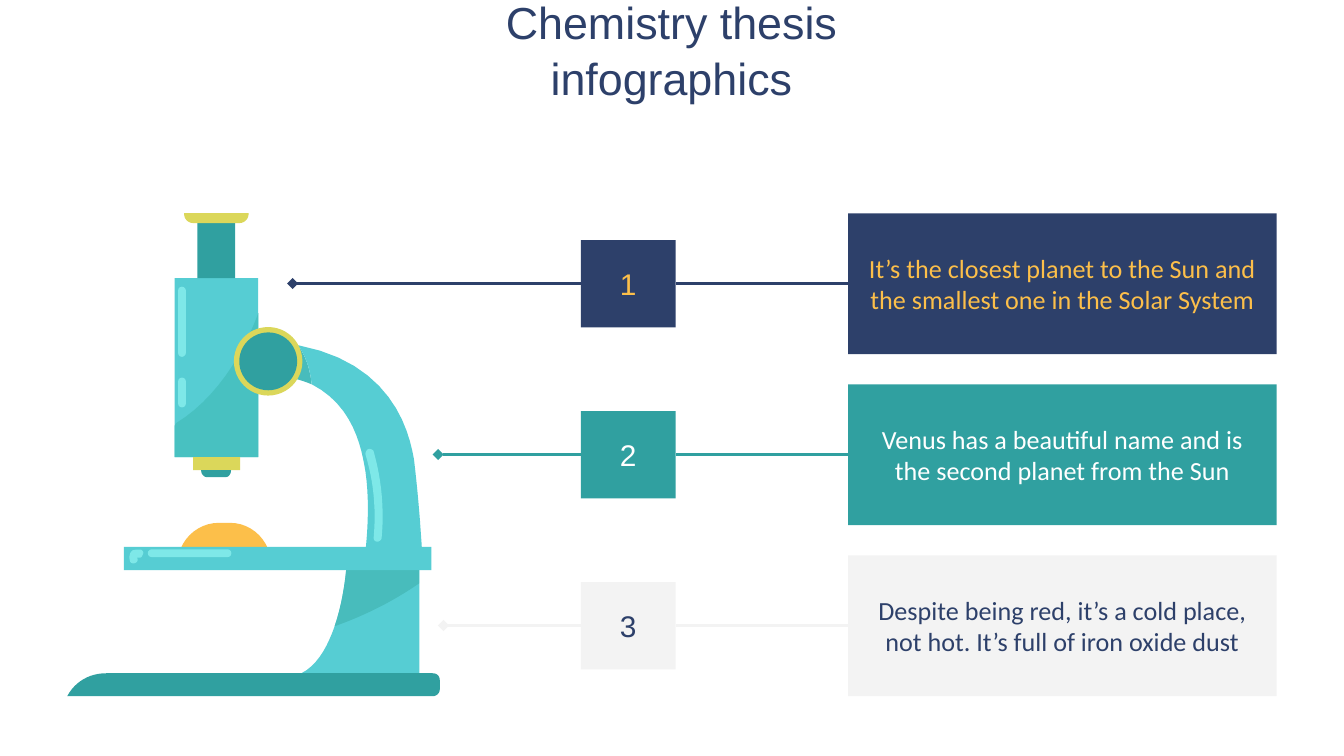
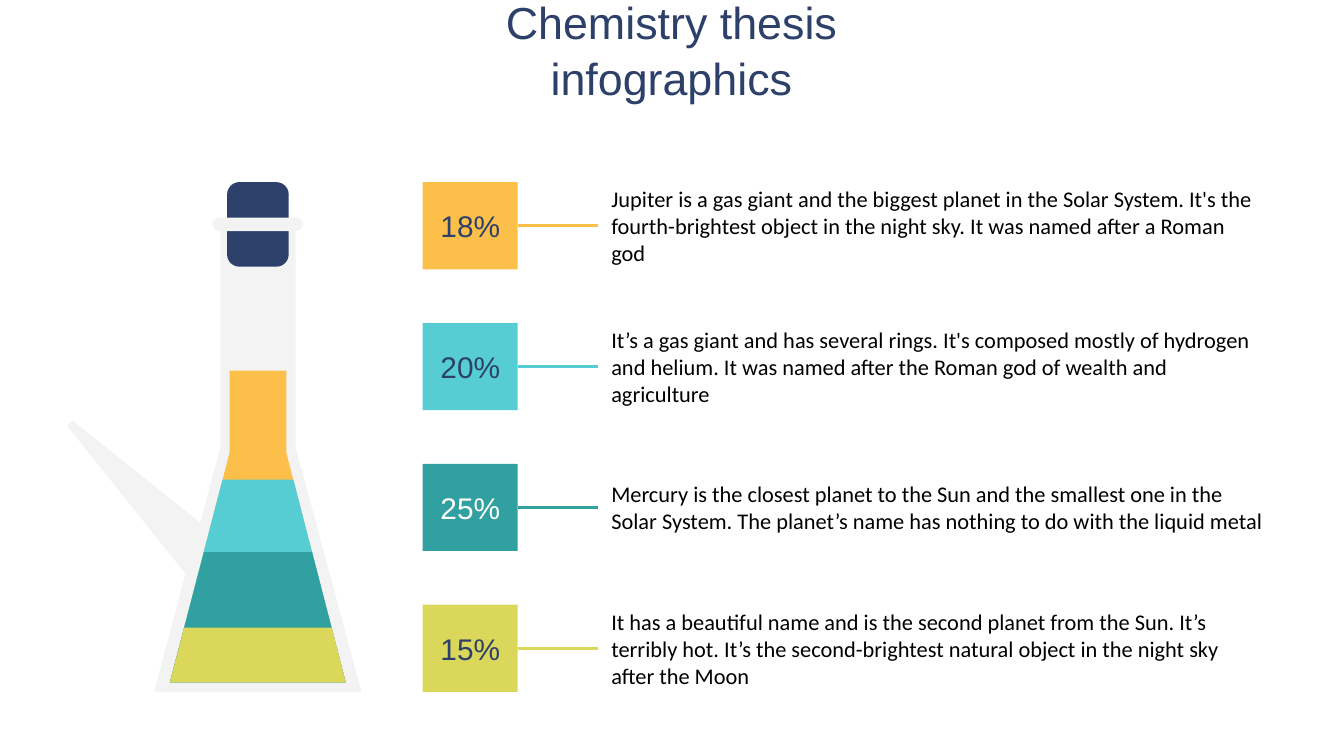
from pptx import Presentation
from pptx.util import Pt
from pptx.dml.color import RGBColor
from pptx.enum.shapes import MSO_SHAPE, MSO_CONNECTOR
from pptx.enum.text import PP_ALIGN, MSO_ANCHOR
from lxml import etree

RECT = MSO_SHAPE.RECTANGLE
ROUND = MSO_SHAPE.ROUNDED_RECTANGLE
OVAL = MSO_SHAPE.OVAL
STRAIGHT = MSO_CONNECTOR.STRAIGHT
LEFT, CENTER = PP_ALIGN.LEFT, PP_ALIGN.CENTER
MIDDLE, BOTTOM = MSO_ANCHOR.MIDDLE, MSO_ANCHOR.BOTTOM
DRAW = "{http://schemas.openxmlformats.org/drawingml/2006/main}"

COLORS = {
    "navy": "2D406A", "teal": "30A0A0", "aqua": "56CDD3", "shade": "48BCBC",
    "dusk": "48C1C1", "shine": "7EE8E8", "gold": "FCBF4A", "lime": "DBD75A",
    "pale": "F3F3F3", "white": "FFFFFF", "black": "000000",
}
HEX = {name: RGBColor.from_string(code) for name, code in COLORS.items()}


def box(slide, kind, area, fill, text="", ink="black", size=16,
        font="Arial", align=CENTER, inset=0, curve=None):
    shape = slide.shapes.add_shape(kind, *[Pt(v) for v in area])
    shape.shadow.inherit = False
    shape.line.fill.background()
    if fill:
        shape.fill.solid()
        shape.fill.fore_color.rgb = HEX[fill]
    else:
        shape.fill.background()
    if curve is not None:
        shape.adjustments[0] = curve
    if text:
        frame = shape.text_frame
        frame.word_wrap = True
        frame.vertical_anchor = MIDDLE
        frame.margin_left = frame.margin_right = Pt(inset)
        frame.margin_top = frame.margin_bottom = Pt(inset)
        frame.text = text
        para = frame.paragraphs[0]
        para.alignment = align
        style = para.runs[0].font
        style.name, style.size = font, Pt(size)
        style.color.rgb = HEX[ink]


def trace(slide, fill, steps):
    spots = []
    for step in steps:
        if len(step) == 2:
            spots.append(step)
            continue
        x0, y0 = spots[-1]
        x1, y1, x2, y2, x3, y3 = step
        for i in range(1, 13):
            t = i / 12
            u = 1 - t
            a, b, c, d = u ** 3, 3 * u * u * t, 3 * u * t * t, t ** 3
            spots.append((a * x0 + b * x1 + c * x2 + d * x3,
                          a * y0 + b * y1 + c * y2 + d * y3))
    spots = [(x * 100, y * 100) for x, y in spots]
    pen = slide.shapes.build_freeform(*spots[0], scale=Pt(1) / 100)
    pen.add_line_segments(spots[1:], close=True)
    shape = pen.convert_to_shape()
    shape.shadow.inherit = False
    shape.fill.solid()
    shape.fill.fore_color.rgb = HEX[fill]
    shape.line.fill.background()


deck = Presentation()
deck.slide_width, deck.slide_height = Pt(720), Pt(405)
slides = []
for _ in range(2):
    slide = deck.slides.add_slide(deck.slide_layouts[5])
    title = slide.shapes.title
    title.left, title.top = Pt(200.9), Pt(32.4)
    title.width, title.height = Pt(317.5), Pt(31)
    frame = title.text_frame
    frame.text = "Chemistry thesis infographics"
    frame.word_wrap = True
    frame.vertical_anchor = BOTTOM
    frame.margin_left = frame.margin_right = Pt(7.2)
    frame.margin_top = frame.margin_bottom = Pt(7.2)
    para = frame.paragraphs[0]
    para.alignment = CENTER
    para.line_spacing = 1.05
    style = para.runs[0].font
    style.name, style.size = "Arial", Pt(24)
    style.color.rgb = HEX["navy"]
    slides.append(slide)
scope, flask = slides

trace(scope, "aqua", [
    (185.8, 301), (224.6, 301), (224.6, 362.9), (151.9, 362.9),
    (166.3, 362.9, 174.2, 350, 179.3, 335.5),
    (185, 319, 185.8, 301, 185.8, 301)])
trace(scope, "shade", [
    (185.8, 301), (224.6, 301), (224.6, 312.5),
    (211, 322, 195, 330, 179.3, 335.5),
    (185, 319, 185.8, 301, 185.8, 301)])
trace(scope, "gold", [
    (117.4, 280.1), (105.1, 280.1, 95, 290.2, 95, 303.1), (145.4, 303.1),
    (145.4, 290.2, 135.4, 280.1, 123.1, 280.1)])
trace(scope, "shade", [
    (133.2, 182.9), (134.6, 200.2),
    (148.3, 200.2, 158.4, 202.3, 167, 205.9),
    (166.3, 198.7, 164.2, 191.5, 159.8, 185),
    (151.9, 183.6, 143.3, 182.9, 133.2, 182.9)])
trace(scope, "aqua", [
    (159.8, 185), (164.2, 191.5, 166.3, 198.7, 167, 205.9),
    (189.4, 217.4, 193.7, 239.8, 195.8, 252.7),
    (198.7, 272.2, 195.8, 295.2, 195.8, 295.2), (226.1, 295.2),
    (226.1, 295.2, 224.6, 268.6, 221.8, 246.2),
    (218.9, 229, 208.8, 194.4, 159.8, 185)])
box(scope, RECT, (93.6, 149, 44.8, 95.9), "aqua")
trace(scope, "dusk", [
    (138.4, 167.8), (129.6, 191.5, 115.2, 213.8, 94.3, 226.8),
    (93.6, 228.2), (93.6, 244.9), (138.4, 244.9)])
box(scope, RECT, (103.5, 244.9, 25.2, 7), "lime")
trace(scope, "teal", [
    (107.8, 251.9), (107.8, 254.2, 109.4, 255.6, 110.9, 255.6),
    (121, 255.6), (122.4, 255.6, 123.8, 254.2, 123.8, 251.9)])
box(scope, OVAL, (125.3, 175.2, 36.7, 36.7), "lime")
box(scope, OVAL, (128.2, 178.1, 31, 31), "teal")
box(scope, RECT, (105.8, 119.5, 20.2, 29.5), "teal")
trace(scope, "lime", [
    (98.6, 114.2), (98.6, 117.4, 100.8, 119.5, 103.7, 119.5),
    (128.2, 119.5), (131, 119.5, 133.2, 117.4, 133.2, 114.2)])
box(scope, RECT, (66.4, 293, 164.8, 12.5), "aqua")
trace(scope, "teal", [
    (56.9, 360.7), (48.2, 360.7, 40.3, 365, 36, 373), (231.8, 373),
    (234, 373, 235.6, 371.2, 235.6, 369.4), (235.6, 364.3),
    (235.6, 362.2, 234, 360.7, 231.8, 360.7)])
for area in [(95.4, 202.3, 4.2, 16), (95.4, 153.6, 4.2, 37.6),
             (79.2, 294.3, 44.8, 4.2)]:
    box(scope, ROUND, area, "shine", curve=0.5)
trace(scope, "shine", [
    (73.4, 294.5), (72.7, 294.5, 71.3, 294.5, 70.6, 295.2),
    (69.1, 296.6, 69.1, 299.5, 69.8, 301),
    (70.4, 302, 72, 302, 72.7, 301.5),
    (73.4, 301, 74.2, 300.2, 73.4, 298.8), (74.9, 298.8),
    (75.6, 298.8, 76.3, 298.1, 76.3, 297.4),
    (77, 296.6, 77, 295.2, 75.6, 294.5)])
trace(scope, "shine", [
    (198, 240.5), (196.6, 240.5, 195.8, 241.9, 195.8, 243.4),
    (200.2, 257.8, 201.6, 272.9, 200.2, 288),
    (200.2, 289.4, 200.9, 290.2, 202.3, 290.2),
    (203, 290.2, 204.5, 289.4, 204.5, 288),
    (205.9, 272.9, 204.5, 257, 200.2, 241.9),
    (200.2, 241.2, 198.7, 240.5, 198, 240.5)])

lines = []
cards = [
    ("navy", "gold", 156.8, "It’s the closest planet to the Sun and the "
     "smallest one in the Solar System"),
    ("teal", "white", 234.7, "Venus has a beautiful name and is the second "
     "planet from the Sun"),
    ("pale", "navy", 237.6, "Despite being red, it’s a cold place, not hot. "
     "It’s full of iron oxide dust"),
]
for i, (fill, ink, tip, text) in enumerate(cards):
    top = 114.3 + 91.6 * i
    box(scope, RECT, (454.3, top, 229.7, 75.5), fill, text, ink, 14,
        "Calibri", inset=7.2)
    box(scope, RECT, (311.2, top + 14.4, 50.8, 46.7), fill, str(i + 1), ink)
    mid = top + 37.6
    lines.append((scope, fill, 454.3, 362, mid, False))
    lines.append((scope, fill, 311.2, tip, mid, True))

trace(flask, "pale", [
    (158.4, 123.8), (158.4, 239.8), (193.7, 370.8), (82.6, 370.8),
    (99.4, 307.4), (36, 228.2), (38.9, 225.4), (107.3, 280.1),
    (118.1, 239.8), (118.1, 123.8)])
box(flask, ROUND, (121.7, 97.6, 33, 45.3), "navy", curve=0.2)
box(flask, ROUND, (113.8, 116.6, 48.6, 7.2), "pale", curve=0.5)
trace(flask, "gold", [
    (153.4, 198.5), (153.4, 242.6), (185.2, 365.6), (91, 365.6),
    (123, 242.6), (123, 198.5)])
for fill, left, right, top in [("aqua", 119.2, 157.2, 257),
                               ("teal", 109.3, 167.2, 295.8),
                               ("lime", 98.7, 177.8, 336.2)]:
    trace(flask, fill, [(right, top), (185.2, 365.6), (91, 365.6),
                        (left, top)])

facts = [
    ("gold", "navy", "18%", "Jupiter is a gas giant and the biggest planet in "
     "the Solar System. It's the fourth-brightest object in the night sky. "
     "It was named after a Roman god"),
    ("aqua", "navy", "20%", "It’s a gas giant and has several rings. It's "
     "composed mostly of hydrogen and helium. It was named after the Roman "
     "god of wealth and agriculture"),
    ("teal", "white", "25%", "Mercury is the closest planet to the Sun and "
     "the smallest one in the Solar System. The planet’s name has nothing "
     "to do with the liquid metal"),
    ("lime", "navy", "15%", "It has a beautiful name and is the second planet "
     "from the Sun. It’s terribly hot. It’s the second-brightest natural "
     "object in the night sky after the Moon"),
]
for i, (fill, ink, share, text) in enumerate(facts):
    top = 97.6 + 75.45 * i
    box(flask, ROUND, (320.4, top - 1.8, 363.6, 50.4), None, text, "black",
        12, "Calibri", LEFT, 7.2, 0)
    box(flask, RECT, (226.5, top, 50.9, 46.7), fill, share, ink)
    lines.append((flask, fill, 320.4, 277.4, top + 23.4, False))

for slide, tint, start, end, y, tip in lines:
    line = slide.shapes.add_connector(STRAIGHT, Pt(start), Pt(y), Pt(end),
                                      Pt(y))
    line.line.color.rgb = HEX[tint]
    line.line.width = Pt(1.5)
    if tip:
        stroke = line.line._get_or_add_ln()
        etree.SubElement(stroke, DRAW + "tailEnd", type="diamond")
    etree.SubElement(line._element.spPr, DRAW + "effectLst")

deck.save("out.pptx")
